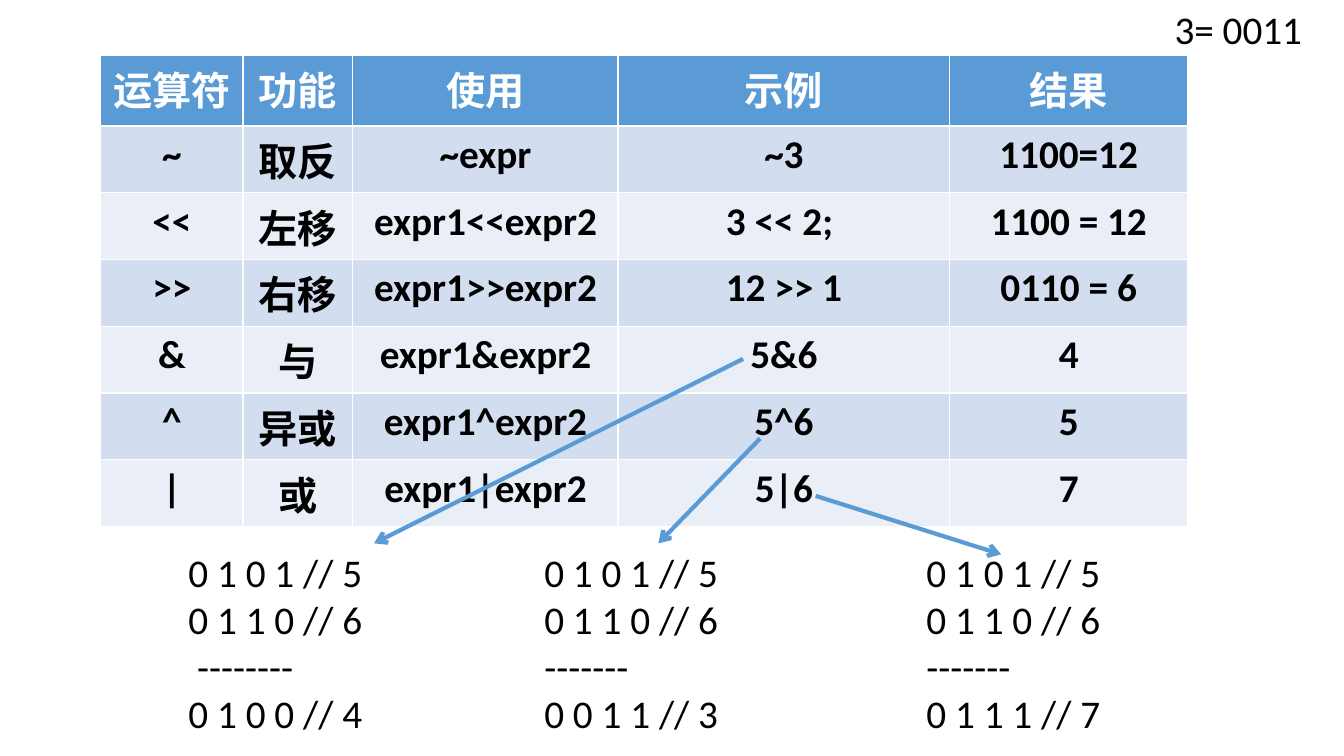
from dataclasses import dataclass

from lxml.etree import SubElement
from pptx import Presentation
from pptx.dml.color import RGBColor
from pptx.enum.shapes import MSO_CONNECTOR
from pptx.enum.text import MSO_AUTO_SIZE, PP_ALIGN
from pptx.oxml.ns import qn
from pptx.util import Inches, Pt

SLIDE_WIDTH, SLIDE_HEIGHT = Inches(13.33), Inches(7.5)


@dataclass(frozen=True)
class Theme:
    font: str = "Calibri"
    size: int = 28
    ink: str = "000000"
    header_ink: str = "FFFFFF"
    accent: str = "5B9BD5"
    bands: tuple = ("D2DEEF", "EAEFF7")
    arrow_width: int = 3


THEME = Theme()

# Lengths are percentages of the slide's width or height
COLUMN_SHARES = (10.58, 8.18, 19.73, 24.68, 17.7)
HEADER_SHARE, ROW_SHARE = 9.33, 8.53
TABLE_LEFT, TABLE_TOP = 7.5, 7.33
WORKING_TOP, WORKING_WIDTH, WORKING_HEIGHT = 71.87, 18.45, 26.53

OPERATORS = (
    ("运算符", "功能", "使用", "示例", "结果"),
    ("~", "取反", "~expr", "~3", "1100=12"),
    ("<<", "左移", "expr1<<expr2", "3 << 2; ", "1100 = 12"),
    (">>", "右移", "expr1>>expr2", "12 >> 1", "0110 = 6"),
    ("&", "与", "expr1&expr2", "5&6", "4"),
    ("^", "异或", "expr1^expr2", "5^6", "5"),
    ("|", "或", "expr1|expr2", "5|6", "7"),
)
OPERANDS = ("0 1 0 1 // 5", "0 1 1 0 // 6")


def across(share):
    return round(SLIDE_WIDTH * share / 100)


def down(share):
    return round(SLIDE_HEIGHT * share / 100)


def write_text(frame, lines, color=THEME.ink, bold=False, align=PP_ALIGN.LEFT):
    for index, line in enumerate(lines):
        paragraph = frame.add_paragraph() if index else frame.paragraphs[0]
        paragraph.alignment = align
        run = paragraph.add_run()
        run.text = line
        run.font.name = THEME.font
        run.font.size = Pt(THEME.size)
        run.font.bold = bold
        run.font.color.rgb = RGBColor.from_string(color)


def add_note(slide, lines, left, top, width, height):
    note = slide.shapes.add_textbox(across(left), down(top), across(width), down(height))
    note.text_frame.word_wrap = True
    note.text_frame.auto_size = MSO_AUTO_SIZE.SHAPE_TO_FIT_TEXT
    write_text(note.text_frame, lines)
    return note


def add_operator_table(slide):
    heights = [HEADER_SHARE] + [ROW_SHARE] * (len(OPERATORS) - 1)
    table = slide.shapes.add_table(
        len(OPERATORS), len(COLUMN_SHARES), across(TABLE_LEFT), down(TABLE_TOP),
        across(sum(COLUMN_SHARES)), down(sum(heights))).table
    for column, share in zip(table.columns, COLUMN_SHARES):
        column.width = across(share)
    for row_index, (row, share) in enumerate(zip(table.rows, heights)):
        row.height = down(share)
        is_header = row_index == 0
        fill = THEME.accent if is_header else THEME.bands[(row_index - 1) % 2]
        for cell, entry in zip(row.cells, OPERATORS[row_index]):
            cell.fill.solid()
            cell.fill.fore_color.rgb = RGBColor.from_string(fill)
            write_text(cell.text_frame, [entry], bold=True, align=PP_ALIGN.CENTER,
                       color=THEME.header_ink if is_header else THEME.ink)


def add_arrow(slide, start, end):
    arrow = slide.shapes.add_connector(
        MSO_CONNECTOR.STRAIGHT, across(start[0]), down(start[1]),
        across(end[0]), down(end[1]))
    arrow.line.color.rgb = RGBColor.from_string(THEME.accent)
    arrow.line.width = Pt(THEME.arrow_width)
    properties = arrow.line._get_or_add_ln()
    SubElement(properties, qn("a:tailEnd"), type="arrow")
    SubElement(arrow._element.spPr, qn("a:effectLst"))
    return arrow


def main():
    presentation = Presentation()
    presentation.slide_width, presentation.slide_height = SLIDE_WIDTH, SLIDE_HEIGHT
    slide = presentation.slides.add_slide(presentation.slide_layouts[6])

    # Table of bitwise operators
    add_operator_table(slide)

    # Worked examples under the table: left edge, rule and result
    and_working, xor_working, or_working = [
        add_note(slide, (*OPERANDS, rule, result), left,
                 WORKING_TOP, WORKING_WIDTH, WORKING_HEIGHT)
        for left, rule, result in (
            (13.28, " --------", "0 1 0 0 // 4"),
            (39.76, "-------", "0 0 1 1 // 3"),
            (68.19, "-------", "0 1 1 1 // 7"),
        )
    ]

    # Arrows from each example to its working
    add_arrow(slide, (55.29, 47.47), (27.83, WORKING_TOP))
    xor_arrow = add_arrow(slide, (56.56, 58), (48.99, WORKING_TOP))
    xor_arrow.end_connect(xor_working, 0)
    add_arrow(slide, (60.69, 65.6), (74.49, 73.33))

    # Binary form of three, in the corner
    add_note(slide, ["3= 0011"], 86.65, 0, 12.75, 7.6)

    presentation.save("out.pptx")


if __name__ == "__main__":
    main()
